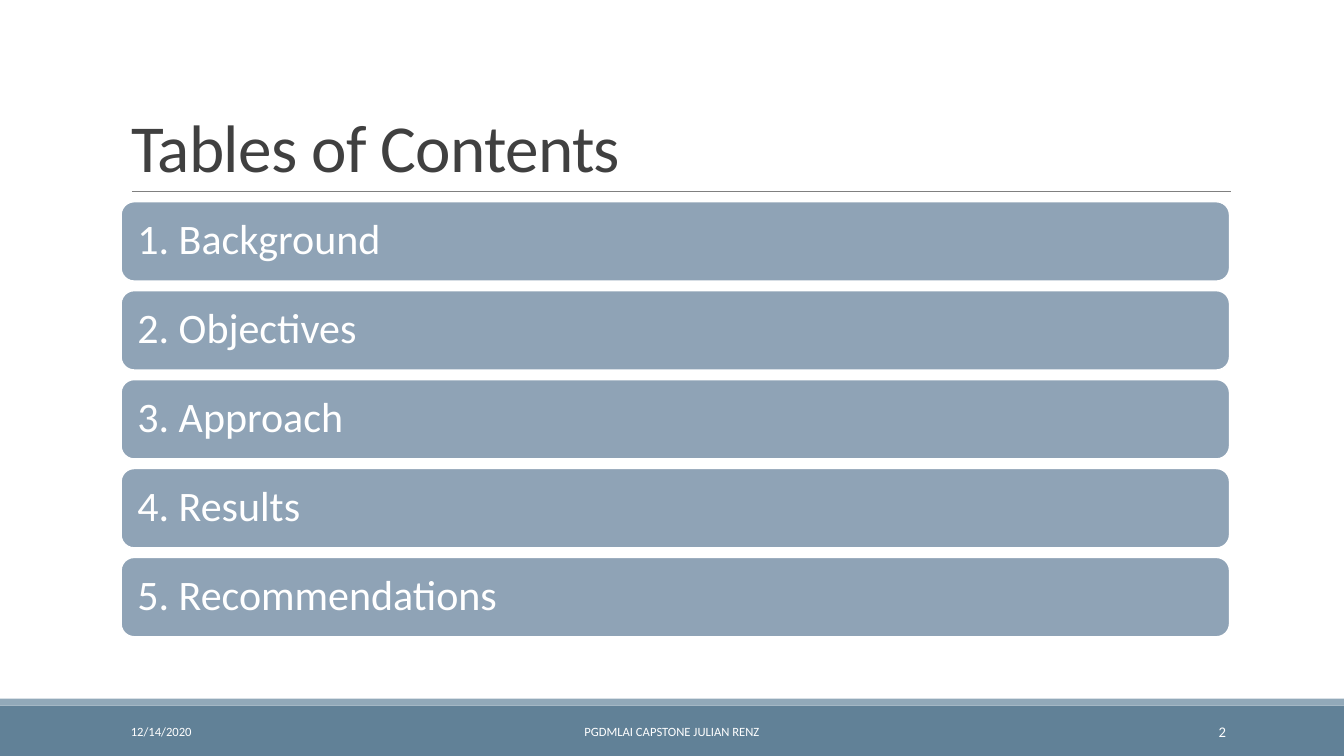
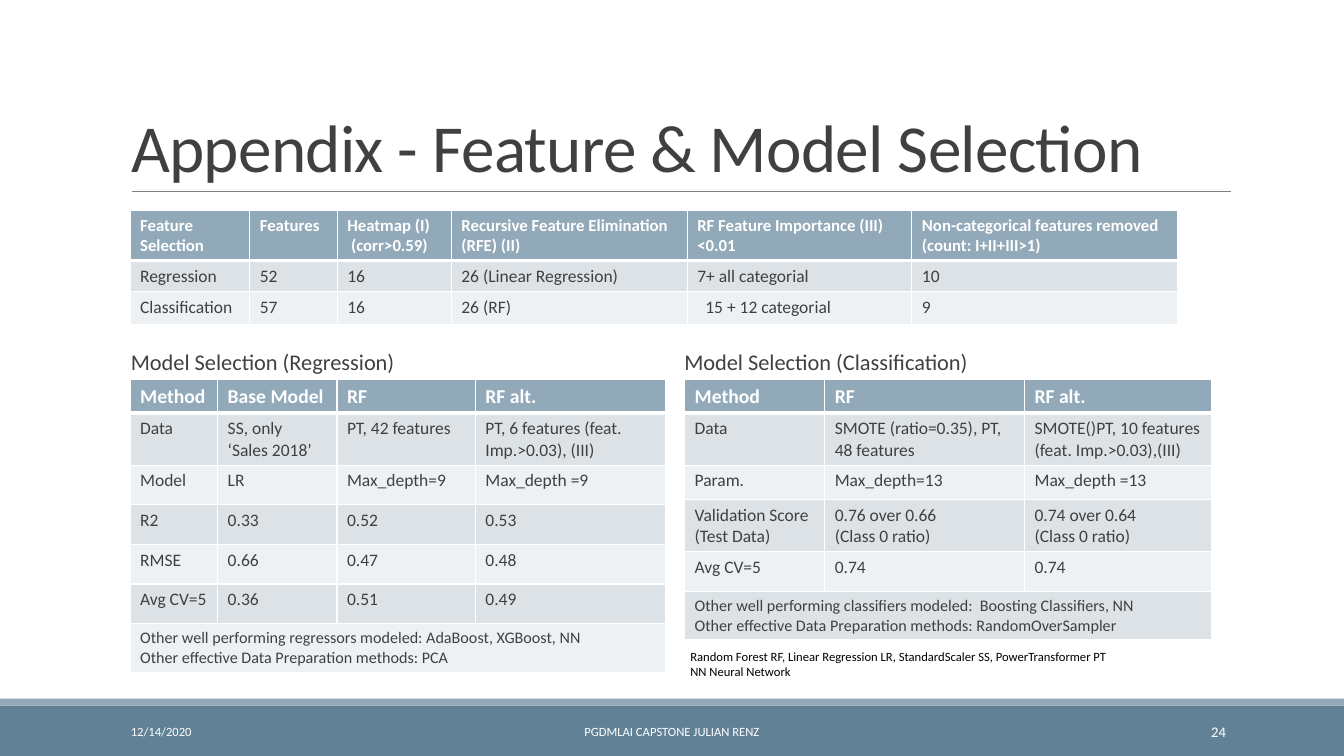
import pptx
import pptx.dml.color
import pptx.enum.shapes
import pptx.enum.text
import pptx.oxml
import pptx.oxml.ns
import pptx.util

Pt = pptx.util.Pt
SHAPES = pptx.enum.shapes.MSO_SHAPE
ALIGN = pptx.enum.text.PP_ALIGN
ANCHOR = pptx.enum.text.MSO_ANCHOR
NAMESPACE = pptx.oxml.ns.nsdecls("a")

FONT = "Calibri"
WHITE, BLACK, INK, RULE = "FFFFFF", "000000", "404040", "808080"
BAND, ACCENT, CARD = "618197", "92A9B9", "8FA3B6"
STRIPES = ("DCE2E6", "EEF1F3")

TITLE_BOX = (86.4, 22.3, 792, 114.5)
CONTENTS_BOX = (86.4, 144, 792, 311)
FOOTER_TOP, FOOTER_HEIGHT = 508.3, 28.8
DATE = "12/14/2020"
FOOTER = "PGDMLAI CAPSTONE JULIAN RENZ"

CHAPTERS = ["Background", "Objectives", "Approach", "Results", "Recommendations"]

FEATURE_TABLE = {
    "left": 92.9, "top": 150,
    "columns": [85.5, 62.5, 81.5, 168.5, 160.5, 190],
    "heights": [34.8, 21.2, 23.5],
    "header_size": 12,
    "rows": [
        ["Feature\nSelection", "Features", "Heatmap (I)\n (corr>0.59)",
         "Recursive Feature Elimination (RFE) (II)",
         "RF Feature Importance (III)\n<0.01",
         "Non-categorical features removed\n(count: I+II+III>1)"],
        ["Regression", "52", "16", "26 (Linear Regression)", "7+ all categorial", "10"],
        ["Classification", "57", "16", "26 (RF)", "15 + 12 categorial", "9"],
    ],
}

REGRESSION_TABLE = {
    "left": 92.9, "top": 271,
    "columns": [62.6, 85.2, 98.9, 136.1],
    "heights": [23] + [28.3] * 6,
    "header_size": 14,
    "rows": [
        ["Method", "Base Model", "RF", "RF alt."],
        ["Data", "SS, only\n‘Sales 2018’", "PT, 42 features",
         "PT, 6 features (feat. Imp.>0.03), (III)"],
        ["Model", "LR", "Max_depth=9", "Max_depth =9"],
        ["R2", "0.33", "0.52", "0.53"],
        ["RMSE", "0.66", "0.47", "0.48"],
        ["Avg CV=5", "0.36", "0.51", "0.49"],
        ["Other well performing regressors modeled: AdaBoost, XGBoost, NN\n"
         "Other effective Data Preparation methods: PCA"],
    ],
}

CLASSIFICATION_TABLE = {
    "left": 489, "top": 271,
    "columns": [100.1, 142.7, 133.4],
    "heights": [23, 36, 24.5, 36, 28.3, 28.3],
    "header_size": 14,
    "rows": [
        ["Method", "RF", "RF alt."],
        ["Data", "SMOTE (ratio=0.35), PT,\n48 features",
         "SMOTE()PT, 10 features (feat. Imp.>0.03),(III)"],
        ["Param.", "Max_depth=13", "Max_depth =13"],
        ["Validation Score\n(Test Data)", "0.76 over 0.66\n(Class 0 ratio)",
         "0.74 over 0.64\n(Class 0 ratio)"],
        ["Avg CV=5", "0.74", "0.74"],
        ["Other well performing classifiers modeled:  Boosting Classifiers, NN\n"
         "Other effective Data Preparation methods: RandomOverSampler"],
    ],
}


def hex_color(value):
    return pptx.dml.color.RGBColor.from_string(value)


def apply_formats(target, formats):
    for name, value in formats.items():
        setattr(target, name, value)


def place(shape, box):
    lengths = (Pt(length) for length in box)
    apply_formats(shape, dict(zip(("left", "top", "width", "height"), lengths)))


def write_text(frame, text, size, color, bold=False, **paragraph_formats):
    frame.text = text
    for paragraph in frame.paragraphs:
        apply_formats(paragraph, paragraph_formats)
        for run in paragraph.runs:
            apply_formats(run.font, {"name": FONT, "size": Pt(size), "bold": bold})
            run.font.color.rgb = hex_color(color)


def add_text(slide, box, text, size, color, anchor=ANCHOR.TOP, **paragraph_formats):
    text_box = slide.shapes.add_textbox(*map(Pt, box))
    apply_formats(text_box.text_frame, {"word_wrap": True, "vertical_anchor": anchor})
    write_text(text_box.text_frame, text, size, color, **paragraph_formats)


def add_panel(slide, kind, box, fill):
    panel = slide.shapes.add_shape(kind, *map(Pt, box))
    panel.shadow.inherit = False
    panel.fill.solid()
    panel.fill.fore_color.rgb = hex_color(fill)
    panel.line.fill.background()
    return panel


def decorate_master(presentation, slide):
    width, height = presentation.slide_width.pt, presentation.slide_height.pt
    band = add_panel(slide, SHAPES.RECTANGLE, (0, height - 36, width, 36), BAND)
    strip = add_panel(slide, SHAPES.RECTANGLE, (0, height - 41, width, 5), ACCENT)
    rule = slide.shapes.add_connector(
        pptx.enum.shapes.MSO_CONNECTOR.STRAIGHT, Pt(94.3), Pt(136.8), Pt(879), Pt(136.8))
    rule.line.width = Pt(0.5)
    rule.line.color.rgb = hex_color(RULE)
    rule.element.spPr.append(pptx.oxml.parse_xml(f"<a:effectLst {NAMESPACE}/>"))
    for shape in (band, strip, rule):
        presentation.slide_master.shapes.element.append(shape.element)


def add_footer(slide, number):
    parts = [
        (86.4, 194.4, DATE, 9, ALIGN.LEFT),
        (290.2, 379.4, FOOTER, 9, ALIGN.CENTER),
        (779.8, 103, number, 10.5, ALIGN.RIGHT),
    ]
    for left, width, text, size, alignment in parts:
        add_text(slide, (left, FOOTER_TOP, width, FOOTER_HEIGHT), text, size, WHITE,
                 ANCHOR.MIDDLE, alignment=alignment)


def add_titled_slide(presentation, layout, title, number):
    slide = presentation.slides.add_slide(layout)
    shape = slide.shapes.title
    place(shape, TITLE_BOX)
    apply_formats(shape.text_frame, {
        "word_wrap": True,
        "auto_size": pptx.enum.text.MSO_AUTO_SIZE.NONE,
        "vertical_anchor": ANCHOR.BOTTOM,
    })
    write_text(shape.text_frame, title, 48, INK, alignment=ALIGN.LEFT, line_spacing=0.85)
    for properties in shape.element.xpath(".//a:rPr"):
        properties.set("spc", "-50")
    add_footer(slide, number)
    return slide


def add_contents(slide, box, chapters, gap=6.6):
    left, top, width, height = box
    card_height = (height - gap * (len(chapters) - 1)) / len(chapters)
    for index, chapter in enumerate(chapters):
        card_top = top + index * (card_height + gap)
        card = add_panel(slide, SHAPES.ROUNDED_RECTANGLE,
                         (left, card_top, width, card_height), CARD)
        card.line.color.rgb = hex_color(WHITE)
        card.line.width = Pt(1.25)
        apply_formats(card.text_frame, {
            "word_wrap": True, "vertical_anchor": ANCHOR.MIDDLE, "margin_left": Pt(9)})
        write_text(card.text_frame, f"{index + 1}. {chapter}", 30, WHITE,
                   alignment=ALIGN.LEFT, line_spacing=0.9)


def set_borders(cell, bottom_width):
    properties = cell._tc.get_or_add_tcPr()
    for side, width in (("L", 1), ("R", 1), ("T", 1), ("B", bottom_width)):
        properties.append(pptx.oxml.parse_xml(
            f'<a:ln{side} {NAMESPACE} w="{Pt(width)}"><a:solidFill>'
            f'<a:srgbClr val="{WHITE}"/></a:solidFill></a:ln{side}>'))


def add_data_table(slide, left, top, columns, heights, header_size, rows):
    frame = slide.shapes.add_table(len(rows), len(columns), Pt(left), Pt(top),
                                   Pt(sum(columns)), Pt(sum(heights)))
    table = frame.table
    table.horz_banding = False
    for column, width in zip(table.columns, columns):
        column.width = Pt(width)
    for row_index, (texts, height) in enumerate(zip(rows, heights)):
        table.rows[row_index].height = Pt(height)
        header = row_index == 0
        is_note = len(texts) < len(columns)
        fill = ACCENT if header else STRIPES[(row_index - 1) % 2]
        size = header_size if header else 11.5 if is_note else 12.5
        if is_note:
            table.cell(row_index, 0).merge(table.cell(row_index, len(columns) - 1))
        for column_index in range(len(columns)):
            cell = table.cell(row_index, column_index)
            set_borders(cell, 3 if header else 1)
            cell.fill.solid()
            cell.fill.fore_color.rgb = hex_color(fill)
            if column_index < len(texts):
                write_text(cell.text_frame, texts[column_index], size,
                           WHITE if header else INK, bold=header)
    return table


def add_model_selection(slide, heading, heading_left, table):
    add_text(slide, (heading_left, 244.8, 262.8, 41), heading, 16, INK)
    add_data_table(slide, **table)


def build_contents_slide(presentation, layout):
    slide = add_titled_slide(presentation, layout, "Tables of Contents", "2")
    decorate_master(presentation, slide)
    add_contents(slide, CONTENTS_BOX, CHAPTERS)


def build_appendix_slide(presentation, layout):
    slide = add_titled_slide(presentation, layout,
                             "Appendix - Feature & Model Selection", "24")
    features = add_data_table(slide, **FEATURE_TABLE)
    features.cell(2, 4).margin_left = Pt(13)
    add_model_selection(slide, "Model Selection (Regression)", 86.4, REGRESSION_TABLE)
    add_model_selection(slide, "Model Selection (Classification)", 481.7,
                        CLASSIFICATION_TABLE)
    add_text(slide, (486, 460.1, 318.2, 28.8),
             "Random Forest RF, Linear Regression LR, StandardScaler SS, "
             "PowerTransformer PT NN Neural Network", 9, BLACK)


def main():
    presentation = pptx.Presentation()
    apply_formats(presentation, {"slide_width": Pt(960), "slide_height": Pt(540)})
    layout = presentation.slide_layouts.get_by_name("Title Only")
    build_contents_slide(presentation, layout)
    build_appendix_slide(presentation, layout)
    presentation.save("out.pptx")


if __name__ == "__main__":
    main()
